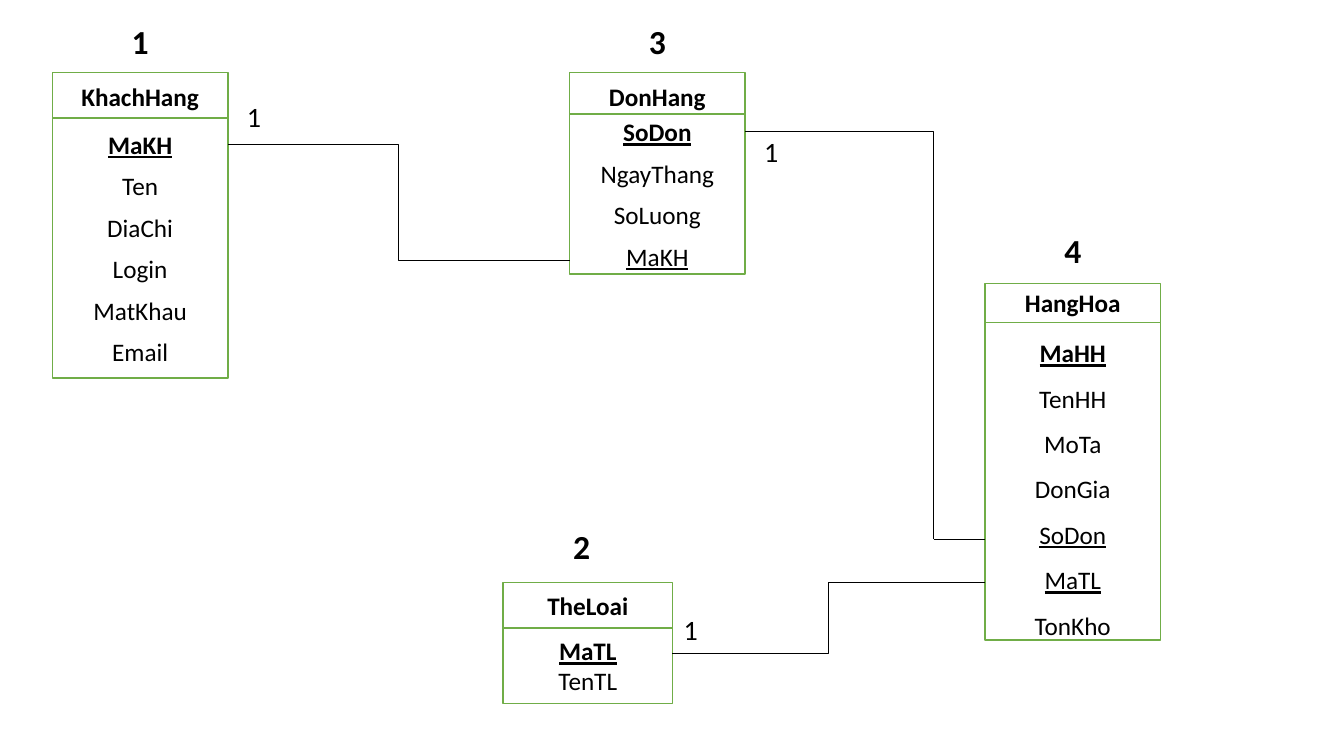
"""Draw the database diagram of customers, orders, goods and categories."""
import pptx
import pptx.dml.color
import pptx.enum.shapes
import pptx.enum.text
import pptx.oxml.ns
import pptx.util
from lxml import etree

PX = 9144
COLORS = {"paper": "FFFFFF", "border": "70AD47", "ink": "000000"}
RECTANGLE = pptx.enum.shapes.MSO_SHAPE.RECTANGLE
ELBOW = pptx.enum.shapes.MSO_CONNECTOR.ELBOW
STRAIGHT = pptx.enum.shapes.MSO_CONNECTOR.STRAIGHT


def color(name):
    return pptx.dml.color.RGBColor.from_string(COLORS[name])


def write_lines(frame, lines, size, spacing, after=0):
    frame.word_wrap = True
    for index, (text, bold, underline) in enumerate(lines):
        paragraph = frame.paragraphs[0] if index == 0 else frame.add_paragraph()
        paragraph.alignment = pptx.enum.text.PP_ALIGN.CENTER
        paragraph.line_spacing = spacing
        paragraph.space_after = pptx.util.Pt(after)
        run = paragraph.add_run()
        run.text = text
        run.font.name = "Calibri"
        run.font.size = pptx.util.Pt(size)
        run.font.bold = bold
        run.font.underline = underline
        run.font.color.rgb = color("ink")


deck = pptx.Presentation()
deck.slide_width = 1333 * PX
deck.slide_height = 750 * PX
slide = deck.slides.add_slide(deck.slide_layouts[6])

entities = [
    ("KhachHang", (52, 174), (72, 45), (117, 258), (1.07, 8), (1.0, 8),
     ["MaKH", "Ten", "DiaChi", "Login", "MatKhau", "Email"], []),
    ("DonHang", (565, 174), (72, 45), (113, 159), (1.07, 8), (1.0, 8),
     ["SoDon", "NgayThang", "SoLuong", "MaKH"], ["MaKH"]),
    ("HangHoa", (977, 174), (281, 39), (320, 315), (1.0, 0), (1.5, 0),
     ["MaHH", "TenHH", "MoTa", "DonGia", "SoDon", "MaTL", "TonKho"],
     ["SoDon", "MaTL"]),
    ("TheLoai", (499, 168), (578, 45), (623, 75), (1.0, 0), (1.0, 0),
     ["MaTL", "TenTL"], []),
]
for (entity, (left, width), header, body, header_spacing, body_spacing,
     fields, foreign_keys) in entities:
    field_lines = [(field, index == 0, index == 0 or field in foreign_keys)
                   for index, field in enumerate(fields)]
    for (top, height), (spacing, after), lines in (
            (header, header_spacing, [(entity, True, False)]),
            (body, body_spacing, field_lines)):
        box = slide.shapes.add_shape(
            RECTANGLE, left * PX, top * PX, width * PX, height * PX)
        box.shadow.inherit = False
        box.fill.solid()
        box.fill.fore_color.rgb = color("paper")
        box.line.color.rgb = color("border")
        box.line.width = pptx.util.Pt(1)
        box.text_frame.vertical_anchor = pptx.enum.text.MSO_ANCHOR.MIDDLE
        write_lines(box.text_frame, lines, 18, spacing, after)

relations = [
    (ELBOW, (226, 143), (565, 258), 50000),
    (ELBOW, (739, 130), (926, 535), 100000),
    (STRAIGHT, (926, 535), (977, 535), None),
    (ELBOW, (667, 648), (977, 578), 50000),
]
for kind, (x1, y1), (x2, y2), bend in relations:
    relation = slide.shapes.add_connector(
        kind, x1 * PX, y1 * PX, x2 * PX, y2 * PX)
    relation.line.color.rgb = color("ink")
    relation.line.width = pptx.util.Pt(0.5)
    properties = relation._element.spPr
    etree.SubElement(properties, pptx.oxml.ns.qn("a:effectLst"))
    if bend is not None:
        guides = properties.find(".//" + pptx.oxml.ns.qn("a:avLst"))
        etree.SubElement(guides, pptx.oxml.ns.qn("a:gd"),
                         name="adj1", fmla=f"val {bend}")

cardinalities = [("1", 229, 98), ("1", 742, 132), ("1", 662, 607)]
table_numbers = [("2", 538, 525), ("1", 100, 24), ("3", 613, 24), ("4", 1025, 231)]
for labels, width, height, size, spacing, bold in (
        (cardinalities, 46, 40, 20, 0.9, False),
        (table_numbers, 78, 45, 24, 0.8, True)):
    for text, left, top in labels:
        label = slide.shapes.add_textbox(
            left * PX, top * PX, width * PX, height * PX)
        write_lines(label.text_frame, [(text, bold, False)], size, spacing)

deck.save("out.pptx")
